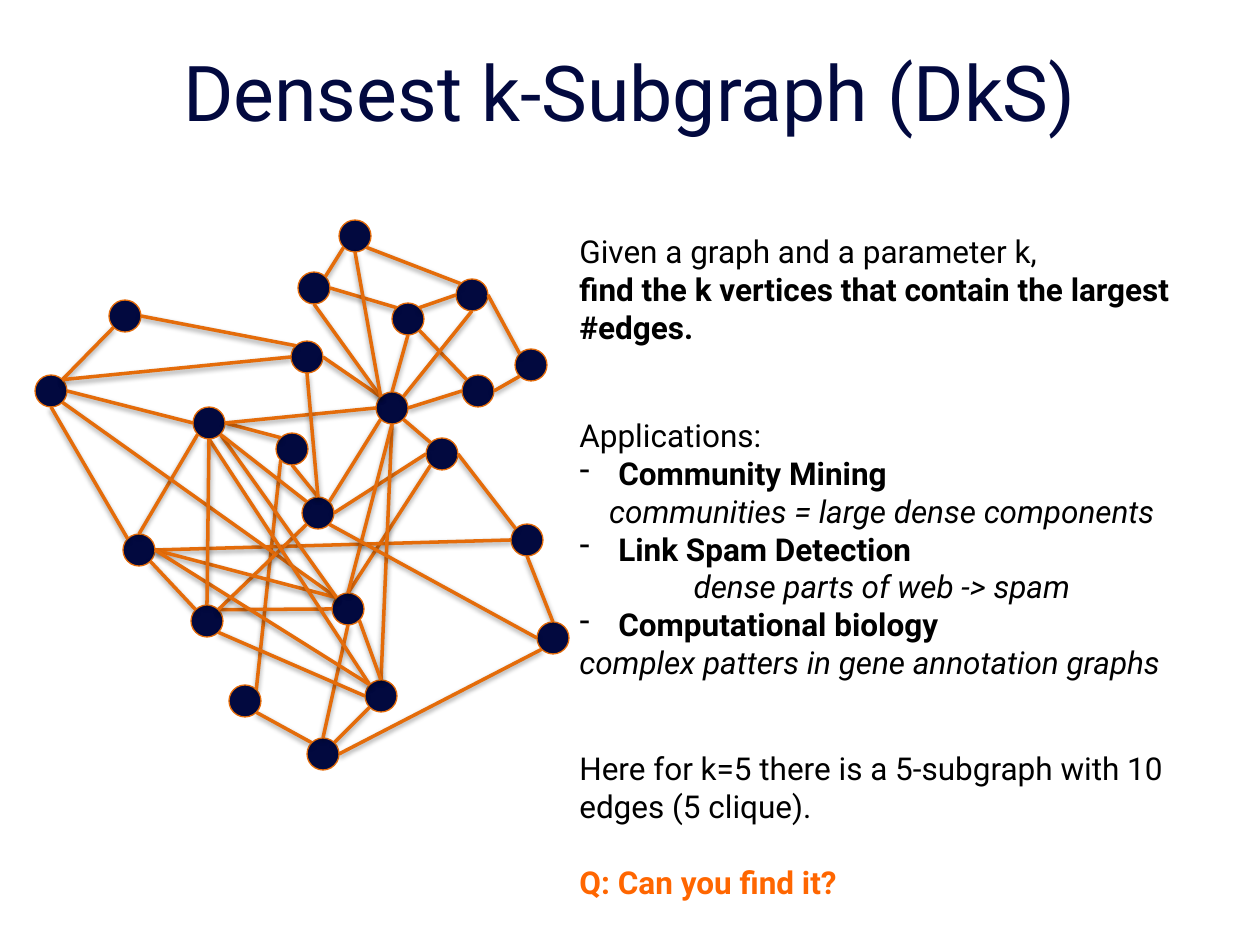
from math import cos, radians, sin

from lxml import etree
from pptx import Presentation
from pptx.dml.color import RGBColor
from pptx.enum.shapes import MSO_CONNECTOR, MSO_SHAPE
from pptx.enum.text import MSO_ANCHOR, PP_ALIGN
from pptx.oxml.ns import qn
from pptx.util import Emu, Pt

STRAIGHT, OVAL = MSO_CONNECTOR.STRAIGHT, MSO_SHAPE.OVAL
TOP, LEFT, CENTER = MSO_ANCHOR.TOP, PP_ALIGN.LEFT, PP_ALIGN.CENTER
PX = 914400 // 126
FONT = "Roboto"
NAVY, ORANGE, BLACK, QUESTION = "02093F", "E46C0A", "000000", "FF6600"
DIAMETER = 32

TITLE = "Densest k-Subgraph (DkS)"

# Vertex centres in px
VERTICES = {
    "a": (209, 423), "b": (292, 449), "c": (51, 391), "d": (139, 550),
    "e": (207, 621), "f": (245, 701), "g": (442, 454), "h": (527, 540),
    "i": (318, 513), "j": (348, 609), "k": (323, 754), "l": (553, 638),
    "m": (307, 357), "n": (392, 408), "o": (125, 316), "p": (381, 696),
    "q": (408, 319), "r": (478, 391), "s": (314, 288), "t": (472, 295),
    "u": (531, 365), "v": (355, 236),
}

# Each edge end is a vertex and the compass point where the edge leaves it
EDGES = """
a:E-b:NW  b:SW-f:NE  d:SE-e:NW  c:E-a:W    a:SW-d:N   g:E-h:NW   h:S-l:N
j:S-k:N   i:E-g:W    g:SW-j:N   f:SE-k:NW  e:NE-j:W   d:E-h:W    c:S-d:NW
c:SE-j:NW m:E-n:NW   n:S-p:N    o:E-m:NW   n:SE-g:NW  c:NE-o:SW  i:SW-e:NE
a:E-n:W   n:S-j:N    j:NW-d:E   j:NW-a:SE  p:N-j:SE   p:NW-a:S   p:W-e:SE
d:E-p:NW  e:N-a:S    k:NE-p:SW  k:E-l:SW   i:SE-l:W   i:N-b:S    i:N-m:S
i:NW-a:SE i:NE-n:SW  c:NE-m:W   q:SE-r:NW  s:E-q:NW   s:S-n:NW   q:S-n:N
n:E-r:W   t:E-u:NW   v:SE-t:NW  s:NE-v:SW  q:NE-t:W   r:E-u:SW   n:NE-t:S
v:S-n:NW
""".split()
COMPASS = ("E", "SE", "S", "SW", "W", "NW", "N", "NE")

# Text boxes: (left, top, width, height) in px, then (text, style) paragraphs
PLAIN = {}
BOLD = {"bold": True}
BULLET = {"bold": True, "bullet": True}
NOTE = {"italic": True, "align": CENTER}
TEXTS = [
    ((567, 226, 708, 165), [
        ("Given a graph and a parameter k,", PLAIN),
        ("find the k vertices that contain the largest #edges.", BOLD),
    ]),
    ((567, 410, 630, 356), [
        ("Applications:", PLAIN),
        ("Community Mining", BULLET),
        ("communities = large dense components", NOTE),
        ("Link Spam Detection", BULLET),
        ("dense parts of web -> spam", NOTE),
        ("Computational biology", BULLET),
        ("complex patters in gene annotation graphs", {"italic": True}),
    ]),
    ((567, 743, 630, 165), [
        ("Here for k=5 there is a 5-subgraph with 10 edges (5 clique).", PLAIN),
        ("Q: Can you find it?", {"bold": True, "color": QUESTION, "before": 22}),
    ]),
]


def px(value):
    return Emu(round(value * PX))


def rgb(color):
    return RGBColor.from_string(color)


def place(shape, box):
    shape.left, shape.top, shape.width, shape.height = map(px, box)


def add_run(paragraph, text, size, color, bold=False, italic=False):
    run = paragraph.add_run()
    run.text = text
    font = run.font
    font.name, font.size, font.bold, font.italic = FONT, Pt(size), bold, italic
    font.color.rgb = rgb(color)


def add_dash(paragraph):
    properties = paragraph._p.get_or_add_pPr()
    properties.set("marL", str(px(39)))
    properties.set("indent", str(-px(39)))
    etree.SubElement(properties, qn("a:buChar")).set("char", "-")


def add_texts(slide, box, paragraphs):
    frame = slide.shapes.add_textbox(*map(px, box)).text_frame
    frame.word_wrap = True
    for index, (text, style) in enumerate(paragraphs):
        paragraph = frame.add_paragraph() if index else frame.paragraphs[0]
        paragraph.alignment = style.get("align", LEFT)
        if "before" in style:
            paragraph.space_before = Pt(style["before"])
        if style.get("bullet"):
            add_dash(paragraph)
        add_run(paragraph, text, 18, style.get("color", BLACK),
                style.get("bold", False), style.get("italic", False))


def add_vertex(slide, center):
    x, y = center
    box = (x - DIAMETER / 2, y - DIAMETER / 2, DIAMETER, DIAMETER)
    vertex = slide.shapes.add_shape(OVAL, *map(px, box))
    vertex.shadow.inherit = False
    vertex.fill.solid()
    vertex.fill.fore_color.rgb = rgb(NAVY)
    vertex.line.color.rgb = rgb(ORANGE)
    vertex.line.width = Pt(0.75)


def edge_end(end):
    name, direction = end.split(":")
    x, y = VERTICES[name]
    angle = radians(45 * COMPASS.index(direction))
    return px(x + DIAMETER / 2 * cos(angle)), px(y + DIAMETER / 2 * sin(angle))


def add_shadow(connector):
    effects = etree.SubElement(connector._element.spPr, qn("a:effectLst"))
    shadow = etree.SubElement(effects, qn("a:outerShdw"), blurRad=str(Pt(3.1)),
                              dist=str(Pt(1.6)), dir="5400000", rotWithShape="0")
    color = etree.SubElement(shadow, qn("a:srgbClr"), val=BLACK)
    etree.SubElement(color, qn("a:alpha"), val="38000")


def add_edge(slide, edge):
    start, end = map(edge_end, edge.split("-"))
    connector = slide.shapes.add_connector(STRAIGHT, *start, *end)
    connector.line.color.rgb = rgb(ORANGE)
    connector.line.width = Pt(2)
    add_shadow(connector)


def main():
    presentation = Presentation()
    presentation.slide_width, presentation.slide_height = px(1260), px(945)
    slide = presentation.slides.add_slide(presentation.slide_layouts[5])

    # Title
    title = slide.shapes.title
    place(title, (63, 38, 1134, 158))
    title.text_frame.vertical_anchor = TOP
    paragraph = title.text_frame.paragraphs[0]
    paragraph.alignment = CENTER
    add_run(paragraph, TITLE, 44, NAVY)

    # Graph
    for center in VERTICES.values():
        add_vertex(slide, center)
    for edge in EDGES:
        add_edge(slide, edge)

    # Explanation
    for box, paragraphs in TEXTS:
        add_texts(slide, box, paragraphs)

    presentation.save("out.pptx")


if __name__ == "__main__":
    main()
